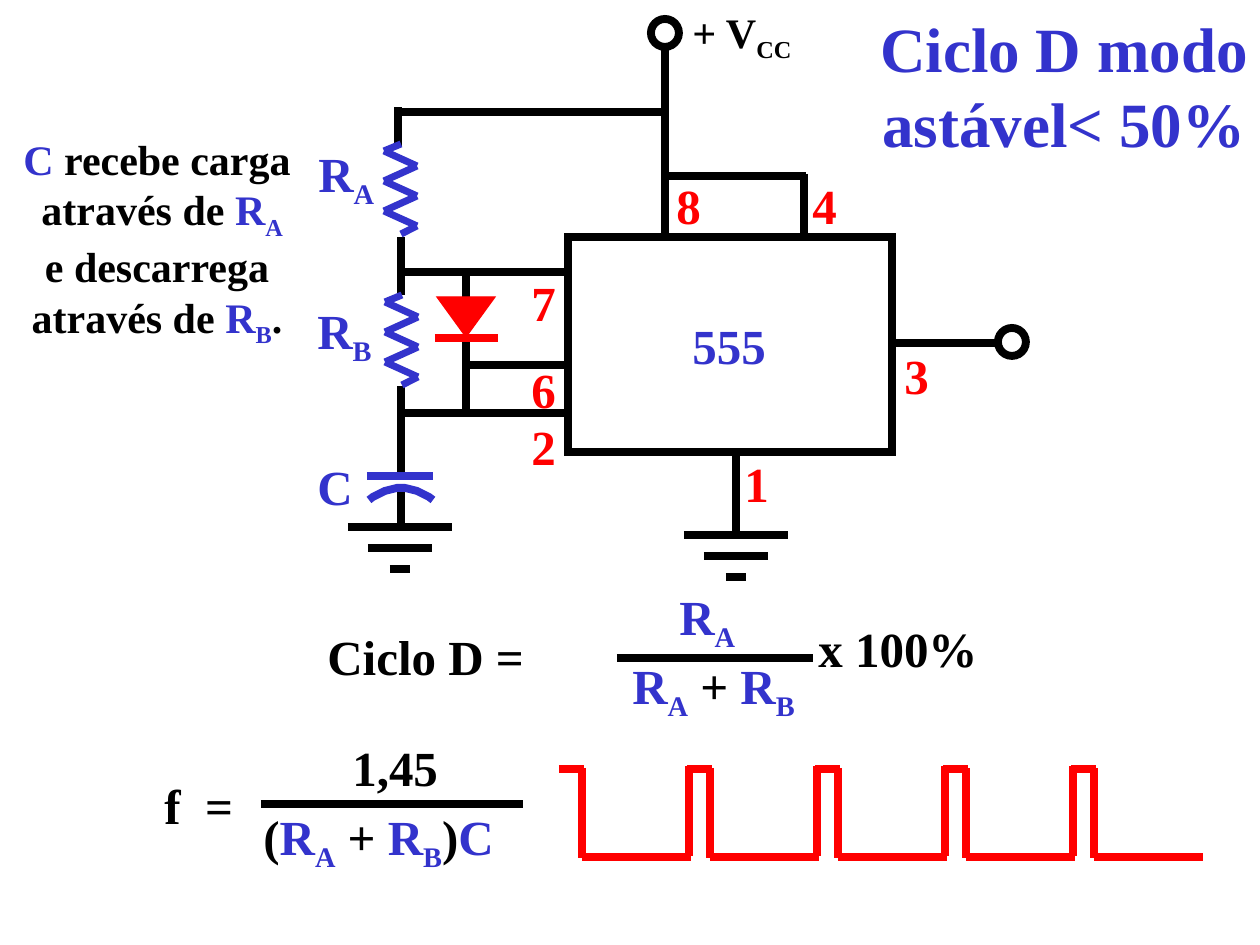
"""Build the slide on the 555 astable circuit with a duty cycle below 50%."""
import itertools

import lxml.etree
import pptx
import pptx.dml.color
import pptx.enum.shapes
import pptx.enum.text
import pptx.oxml.ns
import pptx.util


class Theme:
    font = "Times New Roman"
    black = pptx.dml.color.RGBColor(0x00, 0x00, 0x00)
    white = pptx.dml.color.RGBColor(0xFF, 0xFF, 0xFF)
    blue = pptx.dml.color.RGBColor(0x33, 0x33, 0xCC)
    red = pptx.dml.color.RGBColor(0xFF, 0x00, 0x00)
    title, label, note = 36, 28, 24
    wire, zigzag, edge = 4.5, 4, 0.75


PX = 914400 / 126
SHAPE = pptx.enum.shapes.MSO_SHAPE
LEFT, CENTER = pptx.enum.text.PP_ALIGN.LEFT, pptx.enum.text.PP_ALIGN.CENTER


def line(x1, y1, x2, y2, color=Theme.black, width=Theme.wire):
    ends = [round(v * PX) for v in (x1, y1, x2, y2)]
    c = s.shapes.add_connector(pptx.enum.shapes.MSO_CONNECTOR.STRAIGHT, *ends)
    c.line.color.rgb = color
    c.line.width = pptx.util.Pt(width)
    lxml.etree.SubElement(c._element.spPr, pptx.oxml.ns.qn("a:effectLst"))


def write(sp, box, paragraphs, size=Theme.label, align=LEFT):
    sp.left, sp.top, sp.width, sp.height = [round(v * PX) for v in box]
    tf = sp.text_frame
    tf.word_wrap = False
    tf.auto_size = pptx.enum.text.MSO_AUTO_SIZE.SHAPE_TO_FIT_TEXT
    tf.vertical_anchor = pptx.enum.text.MSO_ANCHOR.TOP
    tf.margin_right = pptx.util.Inches(0.05)
    tf.margin_left = pptx.util.Inches(0.05 if align == CENTER else 0.1)
    for i, runs in enumerate(paragraphs):
        p = tf.add_paragraph() if i else tf.paragraphs[0]
        p.alignment = align
        for text, color, *sub in runs:
            r = p.add_run()
            r.text = text
            r.font.name = Theme.font
            r.font.size = pptx.util.Pt(size)
            r.font.bold = True
            r.font.color.rgb = color
            if sub:
                r.font._element.set("baseline", "-25000")


prs = pptx.Presentation()
prs.slide_width = pptx.util.Inches(10)
prs.slide_height = pptx.util.Inches(7.5)
s = prs.slides.add_slide(prs.slide_layouts[5])

black, blue, red = Theme.black, Theme.blue, Theme.red
RA = [("R", blue), ("A", blue, "sub")]
RB = [("R", blue), ("B", blue, "sub")]
SUM = [*RA, (" + ", black), *RB]

write(s.shapes.title, (868, 3, 392, 164),
      [[("Ciclo D modo", blue)], [("astável< 50%", blue)]], Theme.title, CENTER)

wires = [
    (665, 234, 665, 47), (398, 112, 663, 112), (398, 146, 398, 107),
    (665, 176, 806, 176), (804, 174, 804, 238), (401, 237, 401, 295),
    (403, 272, 566, 272), (466, 297, 466, 275), (466, 411, 466, 340),
    (467, 365, 571, 365), (401, 413, 568, 413), (401, 386, 401, 474),
    (401, 490, 401, 530), (893, 343, 997, 343), (736, 533, 736, 454),
]
fraction_bars = [(617, 658, 813, 658), (261, 804, 523, 804)]
for ends in wires + fraction_bars:
    line(*ends)

for x, y in [(400, 527), (736, 535)]:
    for i, half in enumerate([52, 32, 10]):
        line(x - half, y + 21 * i, x + half, y + 21 * i)

for x, y in [(401, 144), (402, 295)]:
    turns = [(x + (16 if i % 2 else -17), y + 7 + 15 * i) for i in range(6)]
    for a, b in itertools.pairwise([(x, y), *turns, (x, y + 90)]):
        line(*a, *b, blue, Theme.zigzag)

line(367, 476, 433, 476, blue)
curve = [(401 + 4 * t, 488 + 12 * (t / 8) ** 2) for t in range(-8, 9)]
fb = s.shapes.build_freeform(*curve[0], scale=PX)
fb.add_line_segments(curve[1:], close=False)
plate = fb.convert_to_shape()

shapes = [
    (plate, None, blue, Theme.wire),
    (s.shapes.add_shape(SHAPE.RECTANGLE, *[round(v * PX) for v in (568, 237, 324, 215)]),
     Theme.white, black, Theme.wire),
    (s.shapes.add_shape(SHAPE.FLOWCHART_MERGE, *[round(v * PX) for v in (437, 297, 58, 40)]),
     red, red, Theme.edge),
]
for x, y in [(651, 19), (998, 328)]:
    ring = s.shapes.add_shape(SHAPE.OVAL, *[round(v * PX) for v in (x, y, 28, 28)])
    shapes.append((ring, None, black, Theme.wire))
for sp, fill, color, width in shapes:
    sp.shadow.inherit = False
    if fill is None:
        sp.fill.background()
    else:
        sp.fill.solid()
        sp.fill.fore_color.rgb = fill
    sp.line.color.rgb = color
    sp.line.width = pptx.util.Pt(width)
    ln = sp.line._get_or_add_ln()
    lxml.etree.SubElement(ln, pptx.oxml.ns.qn("a:miter")).set("lim", "800000")
line(435, 338, 498, 338, red)

for i in range(5):
    x = 561 + 128 * i
    line(x - 2, 769, x + 23, 769, red)
    if i:
        line(x, 766, x, 856, red)
    line(x + 21, 768, x + 21, 858, red)
    line(x + 21, 857, x + 130, 857, red)

pins = {"4": (800, 169), "8": (664, 169), "7": (519, 266), "6": (519, 353),
        "2": (519, 410), "1": (732, 447), "3": (892, 339)}
labels = [((*at, 49, 72), [(pin, red)]) for pin, at in pins.items()]
labels += [
    ((680, 309, 100, 72), [("555", blue)]),
    ((306, 137, 81, 79), RA),
    ((305, 294, 81, 79), RB),
    ((305, 450, 60, 72), [("C", blue)]),
    ((315, 620, 233, 72), [("Ciclo D =", black)]),
    ((667, 580, 81, 79), RA),
    ((620, 649, 190, 79), SUM),
    ((806, 612, 184, 72), [("x 100%", black)]),
    ((152, 769, 96, 72), [("f  =", black)]),
    ((340, 731, 111, 72), [("1,45", black)]),
    ((251, 800, 260, 79), [("(", black), *SUM, (")", black), ("C", blue)]),
]
for box, runs in labels:
    write(s.shapes.add_textbox(0, 0, 0, 0), box, [runs])

write(s.shapes.add_textbox(0, 0, 0, 0), (680, 0, 125, 71),
      [[("+ V", black), ("CC", black, "sub")]], Theme.note)
write(s.shapes.add_textbox(0, 0, 0, 0), (10, 127, 294, 228), [
    [("C", blue), (" recebe carga", black)],
    [(" através de ", black), *RA],
    [("e descarrega", black)],
    [("através de ", black), *RB, (".", black)],
], Theme.note, CENTER)

prs.save("out.pptx")
